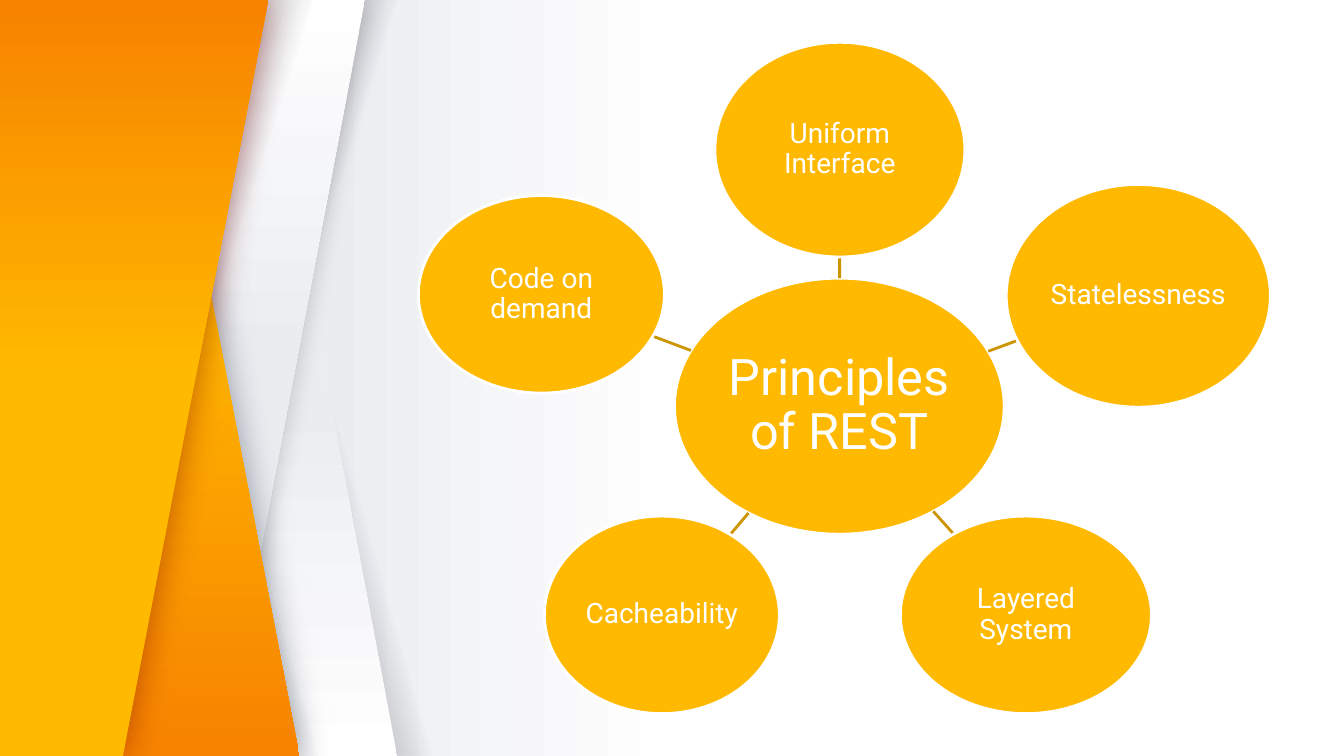
import math

import pptx
import pptx.dml.color
import pptx.enum.shapes
import pptx.enum.text
import pptx.oxml.ns
import pptx.util
from lxml import etree

SCALE = 9144
WIDTH, HEIGHT = 1333, 750
COLORS = {
    "white": "FFFFFF",
    "mist": "EAECF0",
    "slate": "3E4655",
    "ink": "27252C",
    "amber": "FFB900",
    "orange": "F78300",
    "spoke": "CC9400",
    "maroon": "7E0808",
    "black": "000000",
}
SHAPES = pptx.enum.shapes.MSO_SHAPE
qn = pptx.oxml.ns.qn


def px(n):
    return pptx.util.Emu(round(n * SCALE))


def rgb(name):
    return pptx.dml.color.RGBColor.from_string(COLORS[name])


def set_all(obj, values):
    for name, value in values.items():
        setattr(obj, name, value)


class Deck:
    font = "Roboto"
    line_width = pptx.util.Pt(2)

    def __init__(self):
        self.prs = pptx.Presentation()
        self.prs.slide_width, self.prs.slide_height = px(WIDTH), px(HEIGHT)
        self.s = self.prs.slides.add_slide(self.prs.slide_layouts[6])

    def color(self, parent, name, alpha=100):
        clr = etree.SubElement(parent, qn("a:srgbClr"), val=COLORS[name])
        if alpha < 100:
            etree.SubElement(clr, qn("a:alpha"), val=str(alpha * 1000))

    def gradient(self, fill, element, stops, angle):
        fill.gradient()
        fill.gradient_angle = (360 - angle) % 360
        stop_list = next(element.iter(qn("a:gsLst")))
        for gs in list(stop_list):
            stop_list.remove(gs)
        for pos, *color in stops:
            gs = etree.SubElement(stop_list, qn("a:gs"), pos=str(pos * 1000))
            self.color(gs, *color)

    def background(self, stops, angle):
        self.gradient(self.s.background.fill, self.s.element, stops, angle)

    def finish_panel(self, sp, stops, angle, shadow):
        self.gradient(sp.fill, sp.element, stops, angle)
        sp.line.fill.background()
        sp.shadow.inherit = False
        if shadow:
            name, alpha, blur = shadow
            effects = next(sp.element.iter(qn("a:effectLst")))
            outer = etree.SubElement(
                effects, qn("a:outerShdw"), blurRad=str(pptx.util.Pt(blur)),
                dist="0", dir="0", algn="ctr", rotWithShape="0")
            self.color(outer, name, alpha)

    def band(self, left, slant, stops, angle, flip=False, shadow=None):
        sp = self.s.shapes.add_shape(
            SHAPES.PARALLELOGRAM, px(left), 0, px(307), px(HEIGHT))
        sp.adjustments[0] = slant
        if flip:
            sp.element.spPr.find(qn("a:xfrm")).set("flipH", "1")
        self.finish_panel(sp, stops, angle, shadow)

    def edge_panel(self, top, bottom, stops, angle, shadow):
        fb = self.s.shapes.build_freeform(0, 0, scale=SCALE)
        fb.add_line_segments([(0, HEIGHT), (bottom, HEIGHT), (top, 0)])
        self.finish_panel(fb.convert_to_shape(), stops, angle, shadow)

    def bubble(self, box, text, size, inset):
        sp = self.s.shapes.add_shape(SHAPES.OVAL, *map(px, box))
        sp.shadow.inherit = False
        sp.fill.solid()
        sp.fill.fore_color.rgb = rgb("amber")
        sp.line.color.rgb = rgb("white")
        sp.line.width = self.line_width
        tf = sp.text_frame
        margins = ("margin_left", "margin_top", "margin_right", "margin_bottom")
        set_all(tf, dict.fromkeys(margins, px(inset)))
        set_all(tf, {"word_wrap": True,
                     "vertical_anchor": pptx.enum.text.MSO_ANCHOR.MIDDLE})
        p = tf.paragraphs[0]
        set_all(p, {"alignment": pptx.enum.text.PP_ALIGN.CENTER,
                    "line_spacing": 0.9})
        r = p.add_run()
        r.text = text
        set_all(r.font, {"name": self.font, "size": pptx.util.Pt(size)})
        r.font.color.rgb = rgb("white")

    def spoke(self, hub, box):
        ends = rim_point(hub, box) + rim_point(box, hub)
        cxn = self.s.shapes.add_connector(
            pptx.enum.shapes.MSO_CONNECTOR.STRAIGHT, *map(px, ends))
        cxn.line.color.rgb = rgb("spoke")
        cxn.line.width = self.line_width
        etree.SubElement(cxn.element.spPr, qn("a:effectLst"))


def center(box):
    left, top, width, height = box
    return left + width / 2, top + height / 2


def rim_point(box, toward):
    (x, y), (tx, ty) = center(box), center(toward)
    dx, dy = tx - x, ty - y
    reach = math.hypot(2 * dx / box[2], 2 * dy / box[3])
    return x + dx / reach, y + dy / reach


def shade(fade):
    return [(0, "slate"), (13, "slate"), (fade, "ink", 0), (100, "ink", 0)]


def amber_to_orange(middle):
    return [(0, "amber"), (middle, "amber"), (100, "orange")]


def main():
    deck = Deck()
    deck.background(
        [(0, "white"), (50, "white"), (76, "mist"), (100, "mist")], 180)

    silver = [(0, "white"), (47, "mist"), (100, "mist")]
    wide, narrow = 0.753, 0.463
    deck.band(143, wide, shade(55), 196, flip=True)
    deck.band(87, narrow, silver, 270, flip=True)
    deck.band(87, wide, shade(56), 18)
    deck.band(55, narrow, silver, 90, shadow=("black", 20, 16.9))
    deck.band(29, wide, shade(55), 196, flip=True)
    deck.edge_panel(153, 297, amber_to_orange(37), 90, ("slate", 50, 24.8))
    deck.band(4, wide, shade(56), 18)
    deck.edge_panel(266, 122, amber_to_orange(50), 270, ("maroon", 50, 24.8))

    hub = (669, 276, 327, 254)
    principles = {
        "Uniform Interface": (709, 42, 248, 213),
        "Statelessness": (998, 183, 262, 221),
        "Layered System": (893, 512, 249, 196),
        "Cacheability": (540, 512, 233, 196),
        "Code on demand": (415, 194, 244, 196),
    }
    deck.bubble(hub, "Principles of REST", 36, 3)
    for text, box in principles.items():
        deck.spoke(hub, box)
        deck.bubble(box, text, 20, 1)

    deck.prs.save("out.pptx")


if __name__ == "__main__":
    main()
